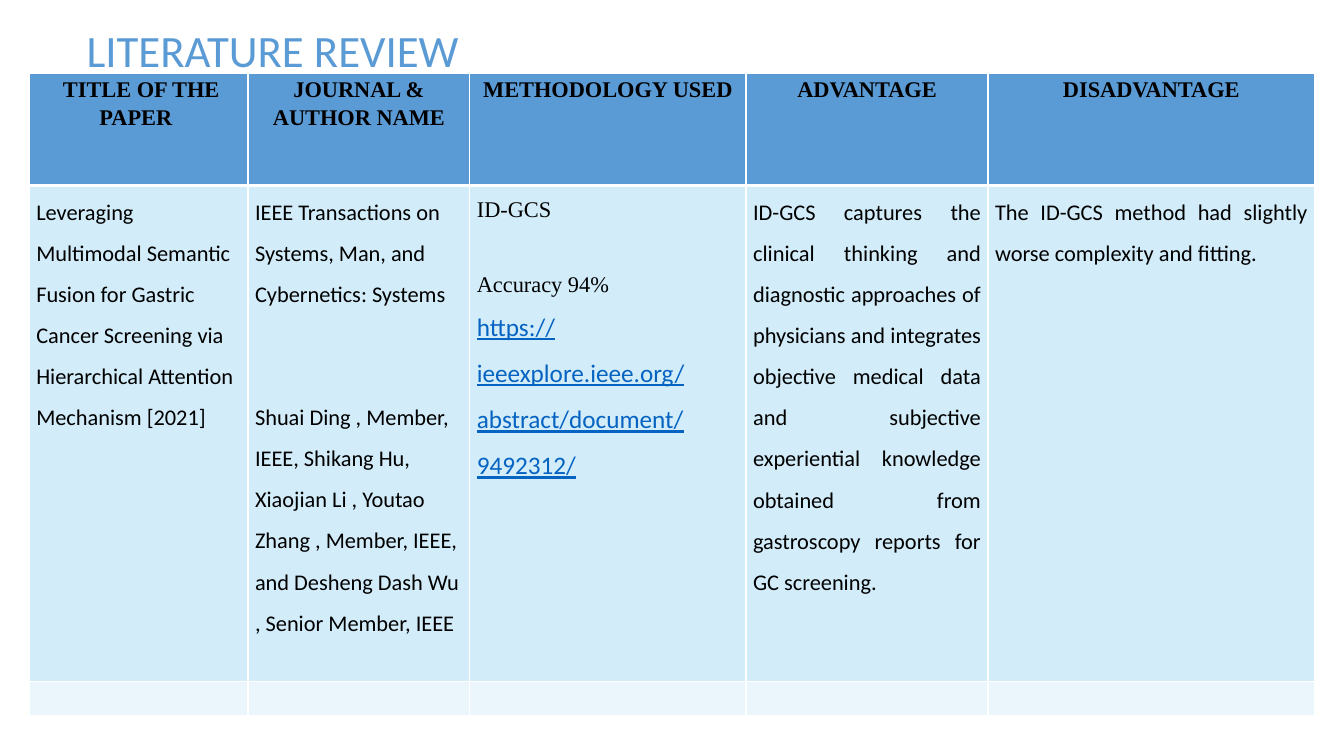
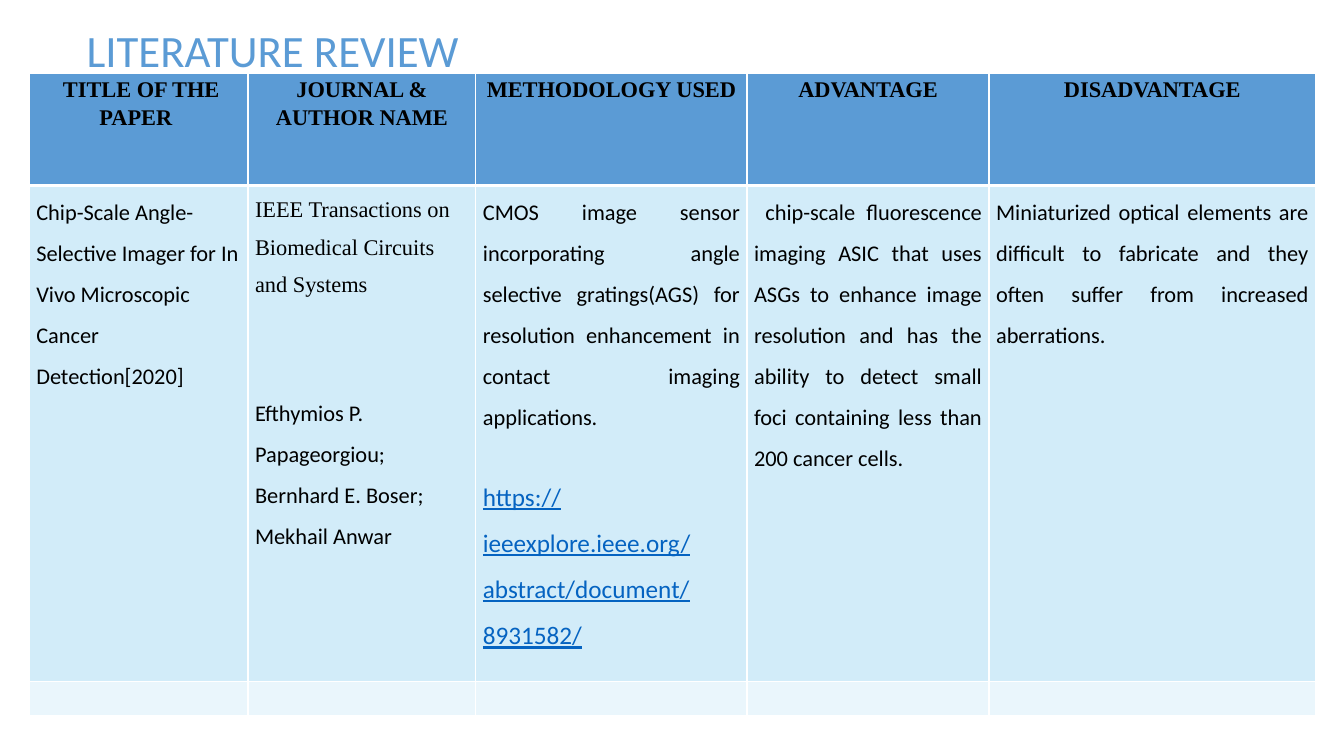
from lxml.etree import SubElement
from pptx import Presentation
from pptx.dml.color import RGBColor
from pptx.enum.text import MSO_ANCHOR, PP_ALIGN as Align
from pptx.oxml.ns import qn
from pptx.util import Inches, Pt

SLIDE_W, SLIDE_H = 13.33, 7.5
BLUE, PALE, PALER = "5B9BD5", "D2ECF9", "EAF6FC"
BLACK, WHITE, LINK = "000000", "FFFFFF", "0563C1"
SANS, SERIF = "Calibri", "Times New Roman"
TITLE_BOX = (0.76, 0.24, 8.48, 0.75)
TABLE_BOX = (0.29, 0.73, 12.76, 6.38)
ROWS = (1.11, 4.92, 0.34)
ROW_FILLS = (BLUE, PALE, PALER)
HEADERS = (" TITLE OF THE PAPER ", "JOURNAL & AUTHOR NAME", "METHODOLOGY USED",
           "ADVANTAGE", "DISADVANTAGE")
JUSTIFY = {"align": Align.JUSTIFY}
URL = {"size": 18, "color": LINK, "underline": True, **JUSTIFY}

PAPERS = (
    {
        "cols": (2.17, 2.2, 2.74, 2.4, 3.24),
        "cells": (
            [("Leveraging Multimodal Semantic Fusion for Gastric Cancer Screening "
              "via Hierarchical Attention Mechanism [2021]", {})],
            [("IEEE Transactions on Systems, Man, and Cybernetics: Systems", {}),
             ("Shuai Ding , Member, IEEE, Shikang Hu, Xiaojian Li , Youtao Zhang , "
              "Member, IEEE, and Desheng Dash Wu , Senior Member, IEEE",
              {"before": 58.6})],
            [("ID-GCS", {"font": SERIF, **JUSTIFY}),
             ("Accuracy 94%", {"font": SERIF, "before": 26.4, **JUSTIFY}),
             ("https://ieeexplore.ieee.org/abstract/document/9492312/", URL)],
            [("ID-GCS captures the clinical thinking and diagnostic approaches of "
              "physicians and integrates objective medical data and subjective "
              "experiential knowledge obtained from gastroscopy reports for GC "
              "screening.", JUSTIFY)],
            [("The ID-GCS method had slightly worse complexity and fitting.", JUSTIFY)],
        ),
    },
    {
        "cols": (2.17, 2.26, 2.69, 2.4, 3.24),
        "cells": (
            [("Chip-Scale Angle-Selective Imager for In Vivo Microscopic Cancer "
              "Detection[2020]", {})],
            [("IEEE Transactions on Biomedical Circuits and Systems", {"font": SERIF}),
             ("Efthymios P. Papageorgiou; Bernhard E. Boser; Mekhail Anwar",
              {"before": 63.5})],
            [("CMOS image sensor incorporating angle selective gratings(AGS) for "
              "resolution enhancement in contact imaging applications.", JUSTIFY),
             ("https://ieeexplore.ieee.org/abstract/document/8931582/",
              {"before": 25, **URL})],
            [(" chip-scale fluorescence imaging ASIC that uses ASGs to enhance image "
              "resolution and has the ability to detect small foci containing less "
              "than 200 cancer cells.", JUSTIFY)],
            [("Miniaturized optical elements are difficult to fabricate and they often "
              "suffer from increased aberrations.", JUSTIFY)],
        ),
    },
)


def rgb(value):
    """Turn a hex string into a colour."""
    return RGBColor.from_string(value)


def write(p, text, size=16, font=SANS, color=BLACK, bold=False, underline=False,
          align=Align.LEFT, spacing=1.5, before=0):
    """Put formatted text into a paragraph."""
    p.alignment, p.line_spacing, p.space_before = align, spacing, Pt(before)
    r = p.add_run()
    r.text = text
    f = r.font
    f.size, f.name, f.bold, f.underline = Pt(size), font, bold, underline
    f.color.rgb = rgb(color)


def set_borders(cell, **widths):
    """Draw white cell borders with the given widths in points."""
    props = cell._tc.get_or_add_tcPr()
    for i, (side, width) in enumerate(widths.items()):
        ln = props.makeelement(qn(f"a:ln{side}"), {"w": str(Pt(width))})
        SubElement(SubElement(ln, qn("a:solidFill")), qn("a:srgbClr"), val=WHITE)
        props.insert(i, ln)


def style_cell(cell, row):
    """Set the margins, fill and borders that belong to a table row."""
    cell.margin_left = cell.margin_right = Inches(0.07)
    cell.margin_top = cell.margin_bottom = 0
    cell.vertical_anchor = MSO_ANCHOR.TOP
    cell.fill.solid()
    cell.fill.fore_color.rgb = rgb(ROW_FILLS[row])
    set_borders(cell, L=1, R=1, T=3 if row == 1 else 1, B=3 if row == 0 else 1)


def add_title(s, text, box):
    """Place the slide title in its box."""
    tf = s.shapes.add_textbox(*map(Inches, box)).text_frame
    tf.word_wrap = True
    write(tf.paragraphs[0], text, size=32, color=BLUE, spacing=0.9)


def add_review_table(s, paper, box):
    """Place the review table of one paper in its box."""
    table = s.shapes.add_table(len(ROWS), len(HEADERS), *map(Inches, box)).table
    for column, width in zip(table.columns, paper["cols"]):
        column.width = Inches(width)
    for i, height in enumerate(ROWS):
        table.rows[i].height = Inches(height)
        for cell in table.rows[i].cells:
            style_cell(cell, i)
    for j, (header, paragraphs) in enumerate(zip(HEADERS, paper["cells"])):
        write(table.cell(0, j).text_frame.paragraphs[0], header, font=SERIF,
              bold=True, align=Align.CENTER, spacing=1.15)
        tf = table.cell(1, j).text_frame
        for k, (text, style) in enumerate(paragraphs):
            write(tf.add_paragraph() if k else tf.paragraphs[0], text, **style)


def add_review_slide(prs, paper):
    """Add one literature review slide."""
    s = prs.slides.add_slide(prs.slide_layouts[6])
    add_title(s, "LITERATURE REVIEW", TITLE_BOX)
    add_review_table(s, paper, TABLE_BOX)


def main():
    """Build and save the presentation."""
    prs = Presentation()
    prs.slide_width, prs.slide_height = Inches(SLIDE_W), Inches(SLIDE_H)
    for paper in PAPERS:
        add_review_slide(prs, paper)
    prs.save("out.pptx")


if __name__ == "__main__":
    main()
